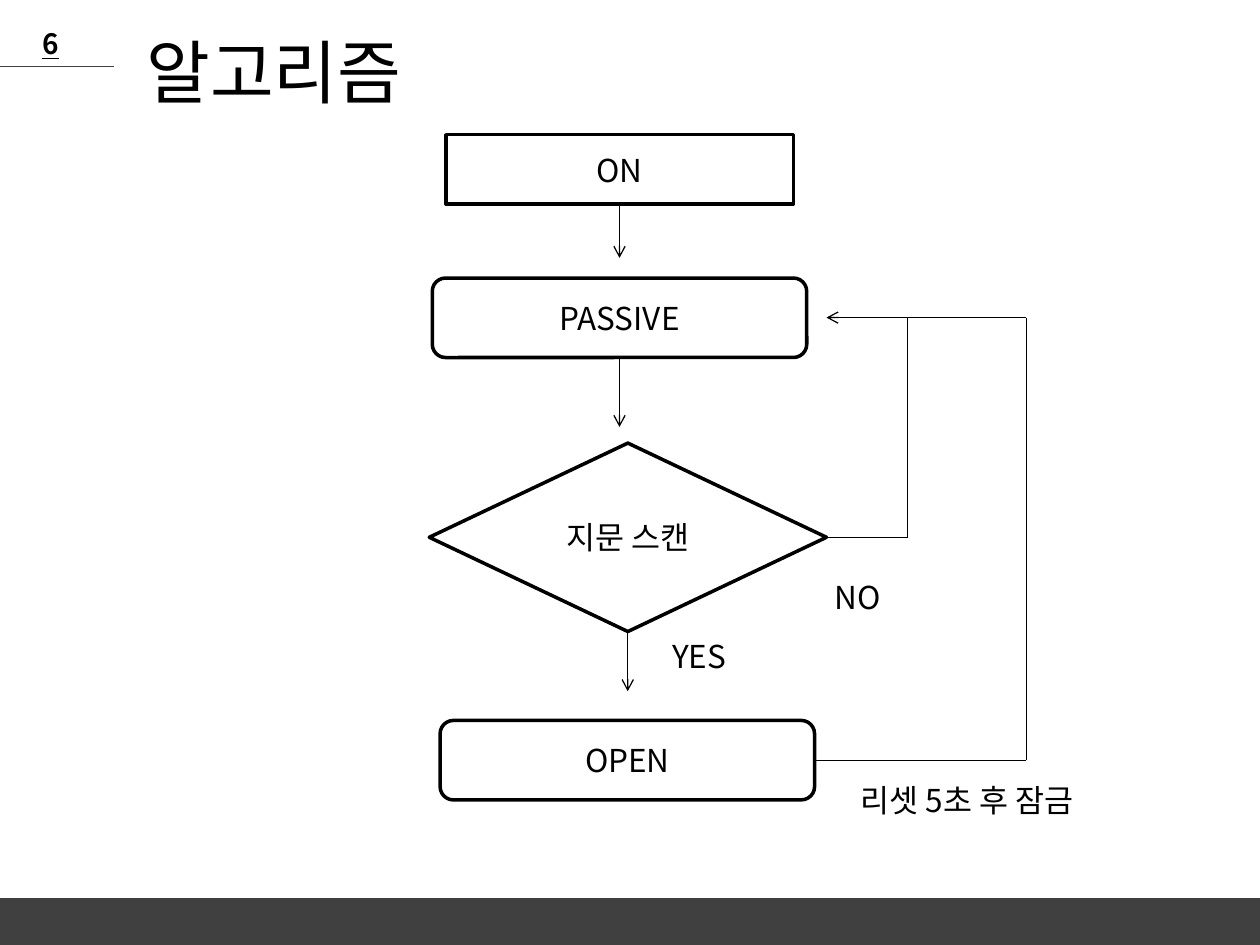
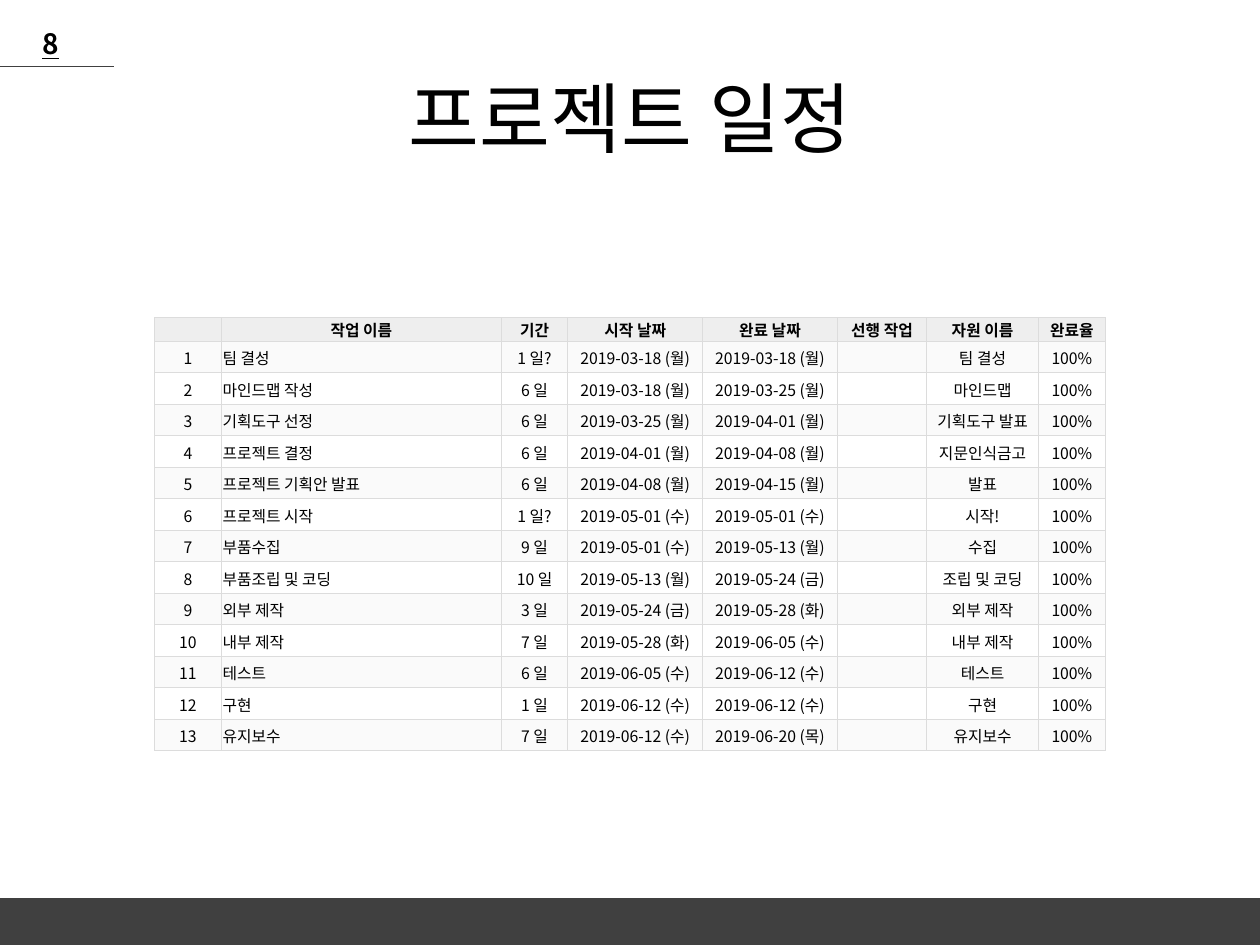
from lxml.etree import SubElement
from pptx import Presentation
from pptx.dml.color import RGBColor
from pptx.enum.shapes import MSO_CONNECTOR as CONN, MSO_SHAPE as SHAPE
from pptx.enum.text import MSO_ANCHOR as ANCHOR, PP_ALIGN as ALIGN
from pptx.oxml.ns import qn
from pptx.util import Pt

FONT = "Noto Sans CJK KR"
COLORS = {"ink": "000000", "paper": "FFFFFF", "band": "404040",
          "header": "EEEEEE", "stripe": "FAFAFA", "grid": "DCDCDC"}
RGB = {name: RGBColor.from_string(value) for name, value in COLORS.items()}


def write(tf, text, size, align=ALIGN.LEFT, bold=False, underline=None):
    tf.text = text
    tf.word_wrap = True
    p = tf.paragraphs[0]
    p.alignment = align
    for r in p.runs:
        r.font.size = Pt(size)
        r.font.bold = bold
        r.font.underline = underline
        r.font.color.rgb = RGB["ink"]
        r.font.name = FONT
        SubElement(r.font._element, qn("a:ea"), typeface=FONT)


def draw_line(s, start, end, color="ink", arrow=False):
    c = s.shapes.add_connector(CONN.STRAIGHT, *map(Pt, start + end))
    c.line.color.rgb = RGB[color]
    c.line.width = Pt(0.75)
    if arrow:
        SubElement(c.line._get_or_add_ln(), qn("a:tailEnd"), type="arrow")
    SubElement(c._element.spPr, qn("a:effectLst"))


prs = Presentation()
prs.slide_width, prs.slide_height = Pt(720), Pt(540)

# Shared frame: title, page number with rule, bottom band
slides = []
for number, title, size, box in [
        ("6", "알고리즘", 39.6, (20, 21, 273, 39)),
        ("8", "프로젝트 일정", 44, (36, 21.6, 648, 90))]:
    s = prs.slides.add_slide(prs.slide_layouts[6])
    slides.append(s)
    tf = s.shapes.add_textbox(*map(Pt, box)).text_frame
    tf.vertical_anchor = ANCHOR.MIDDLE
    write(tf, title, size, ALIGN.CENTER)

    tf = s.shapes.add_textbox(Pt(17), Pt(11.5), Pt(30), Pt(26.6)).text_frame
    write(tf, number, 16, bold=True, underline=True)
    draw_line(s, (0, 38), (65.2, 38), "band")

    band = s.shapes.add_shape(SHAPE.RECTANGLE, 0, Pt(514), Pt(720), Pt(26))
    band.shadow.inherit = False
    band.fill.solid()
    band.fill.fore_color.rgb = band.line.color.rgb = RGB["band"]
    band.line.width = Pt(2)

flow, schedule = slides

# Flowchart steps
for shape, text, box in [
        (SHAPE.RECTANGLE, "ON", (254.8, 77, 198.6, 39.7)),
        (SHAPE.ROUNDED_RECTANGLE, "PASSIVE", (247, 158.9, 214, 45.4)),
        (SHAPE.DIAMOND, "지문 스캔", (245.3, 253.2, 227, 107.7)),
        (SHAPE.ROUNDED_RECTANGLE, "OPEN", (251.5, 411.7, 214, 45.4))]:
    sp = flow.shapes.add_shape(shape, *map(Pt, box))
    sp.shadow.inherit = False
    sp.fill.solid()
    sp.fill.fore_color.rgb = RGB["paper"]
    sp.line.color.rgb = RGB["ink"]
    sp.line.width = Pt(2)
    sp.text_frame.vertical_anchor = ANCHOR.MIDDLE
    write(sp.text_frame, text, 18, ALIGN.CENTER)

# Routes between the steps; True ends the route with an arrow
return_y, no_x, reset_x = 181.5, 518.6, 586.5
for points, arrow in [
        ([(354, 116.7), (354, 147.4)], True),
        ([(354, 204.3), (354, 244)], True),
        ([(358.7, 360.9), (358.7, 395)], True),
        ([(472.3, 307.1), (no_x, 307.1), (no_x, return_y), (472.3, return_y)], True),
        ([(465.5, 434.4), (reset_x, 434.4), (reset_x, return_y), (no_x, return_y)], False)]:
    for start, end in zip(points, points[1:]):
        draw_line(flow, start, end, arrow=arrow and end == points[-1])

# Route labels
for text, x, y, width in [("NO", 470, 327, 51), ("YES", 377, 360.7, 51),
                          ("리셋 5초 후 잠금", 484.8, 442.5, 176.4)]:
    write(flow.shapes.add_textbox(Pt(x), Pt(y), Pt(width), Pt(29)).text_frame, text, 18)

# Schedule: task, duration, start, finish, resource
headers = ["", "작업 이름", "기간", "시작 날짜", "완료 날짜", "선행 작업", "자원 이름", "완료율"]
tasks = [
    ("팀 결성", "1 일?", "2019-03-18 (월)", "2019-03-18 (월)", "팀 결성"),
    ("마인드맵 작성", "6 일", "2019-03-18 (월)", "2019-03-25 (월)", "마인드맵"),
    ("기획도구 선정", "6 일", "2019-03-25 (월)", "2019-04-01 (월)", "기획도구 발표"),
    ("프로젝트 결정", "6 일", "2019-04-01 (월)", "2019-04-08 (월)", "지문인식금고"),
    ("프로젝트 기획안 발표", "6 일", "2019-04-08 (월)", "2019-04-15 (월)", "발표"),
    ("프로젝트 시작", "1 일?", "2019-05-01 (수)", "2019-05-01 (수)", "시작!"),
    ("부품수집", "9 일", "2019-05-01 (수)", "2019-05-13 (월)", "수집"),
    ("부품조립 및 코딩", "10 일", "2019-05-13 (월)", "2019-05-24 (금)", "조립 및 코딩"),
    ("외부 제작", "3 일", "2019-05-24 (금)", "2019-05-28 (화)", "외부 제작"),
    ("내부 제작", "7 일", "2019-05-28 (화)", "2019-06-05 (수)", "내부 제작"),
    ("테스트", "6 일", "2019-06-05 (수)", "2019-06-12 (수)", "테스트"),
    ("구현", "1 일", "2019-06-12 (수)", "2019-06-12 (수)", "구현"),
    ("유지보수", "7 일", "2019-06-12 (수)", "2019-06-20 (목)", "유지보수"),
]
rows = [headers] + [[str(n), *task[:4], "", task[4], "100%"]
                    for n, task in enumerate(tasks, 1)]
widths = [38.2, 160, 38, 77, 77, 51, 64, 38.2]
header_height, row_height = 13.7, 18
table = schedule.shapes.add_table(
    len(rows), len(widths), Pt(88.3), Pt(181.4), Pt(sum(widths)),
    Pt(header_height + row_height * len(tasks))).table
table.first_row = table.horz_banding = False
for column, width in zip(table.columns, widths):
    column.width = Pt(width)

for i, row in enumerate(rows):
    table.rows[i].height = Pt(row_height if i else header_height)
    fill = "header" if i == 0 else "stripe" if i % 2 else "paper"
    for j, text in enumerate(row):
        cell = table.cell(i, j)
        cell.vertical_anchor = ANCHOR.MIDDLE
        cell.margin_left = cell.margin_right = cell.margin_top = Pt(0.7)
        cell.margin_bottom = 0
        align = ALIGN.LEFT if i and j == 1 else ALIGN.CENTER
        write(cell.text_frame, text, 9, align, bold=i == 0)
        if not text:
            # Keep empty cells from stretching the row
            SubElement(cell.text_frame.paragraphs[0]._p, qn("a:endParaRPr"), sz="900")
        tcPr = cell._tc.get_or_add_tcPr()
        for side in ("a:lnL", "a:lnR", "a:lnT", "a:lnB"):
            ln = SubElement(tcPr, qn(side), w=str(Pt(0.5)))
            SubElement(SubElement(ln, qn("a:solidFill")), qn("a:srgbClr"), val=COLORS["grid"])
        cell.fill.solid()
        cell.fill.fore_color.rgb = RGB[fill]

prs.save("out.pptx")
